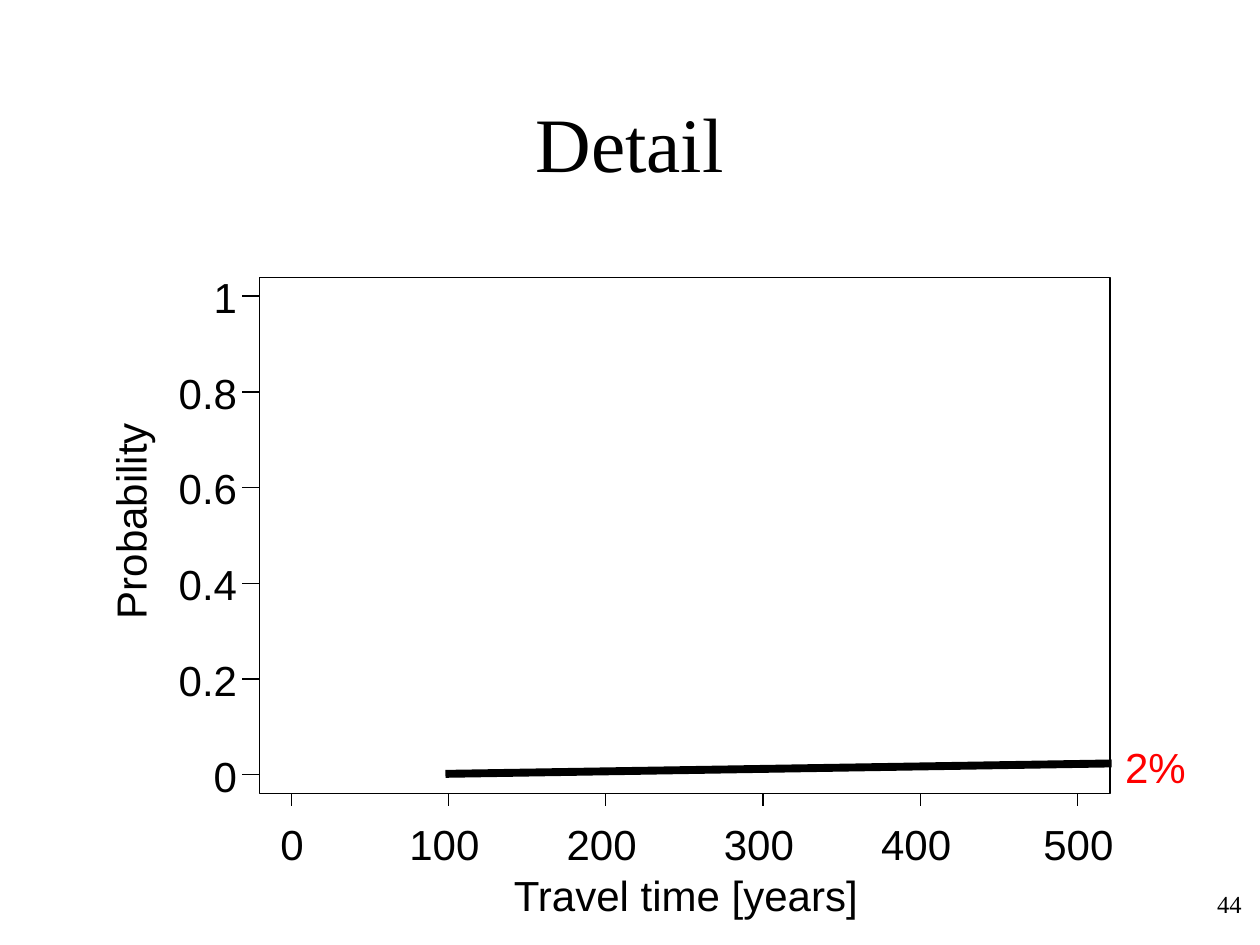
from lxml.etree import SubElement
from pptx import Presentation
from pptx.dml.color import RGBColor
from pptx.enum.shapes import MSO_CONNECTOR as Connector, MSO_SHAPE as Shape
from pptx.enum.text import MSO_ANCHOR as Anchor, MSO_AUTO_SIZE as AutoSize, PP_ALIGN as Align
from pptx.oxml.ns import qn
from pptx.util import Cm, Pt

COLORS = {"ink": "000000", "accent": "FF0000"}
SERIF = {"name": "Times New Roman"}
LABEL_FONT = {"name": "Arial", "size": Pt(24)}
FITTED = {"word_wrap": False, "auto_size": AutoSize.SHAPE_TO_FIT_TEXT}
TIGHT = FITTED | {f"margin_{side}": 0 for side in ("left", "top", "right", "bottom")}
LABEL_HEIGHT = 1.02


def apply_format(target, values):
    for name, value in values.items():
        setattr(target, name, value)


def color(name):
    return RGBColor.from_string(COLORS[name])


def add_text(slide, box, content, font, frame, align=Align.LEFT, ink="ink"):
    label = slide.shapes.add_textbox(*map(Cm, box))
    apply_format(label.text_frame, frame)
    paragraph = label.text_frame.paragraphs[0]
    paragraph.alignment = align
    run = paragraph.add_run()
    run.text = content
    apply_format(run.font, font)
    run.font.color.rgb = color(ink)
    return label


def add_rule(slide, start, end, width=0.75):
    rule = slide.shapes.add_connector(Connector.STRAIGHT, *map(Cm, (*start, *end)))
    rule.line.color.rgb = color("ink")
    rule.line.width = Pt(width)
    SubElement(rule._element.spPr, qn("a:effectLst"))


def add_title(slide, box):
    frame = {"word_wrap": True, "vertical_anchor": Anchor.MIDDLE}
    add_text(slide, box, "Detail", SERIF | {"size": Pt(44)}, frame, Align.CENTER)


def add_page_number(slide, box):
    add_text(slide, box, "44", SERIF | {"size": Pt(14)}, {"word_wrap": True}, Align.RIGHT)


def add_plot_frame(slide, box):
    plot = slide.shapes.add_shape(Shape.RECTANGLE, *map(Cm, box))
    plot.shadow.inherit = False
    plot.fill.background()
    plot.line.color.rgb = color("ink")
    plot.line.width = Pt(0.75)


def add_time_axis(slide, box):
    left, top, width, height = box
    base, first, step = top + height, left + 0.64, 3.17
    add_rule(slide, (first, base), (first + 5 * step, base))
    for index in range(6):
        x = first + index * step
        years = str(100 * index)
        label_width = 0.5 * len(years)
        label_center = x - 0.08 if 0 < index < 5 else x + 0.02
        add_rule(slide, (x, base), (x, base + 0.25))
        add_text(slide, (label_center - label_width / 2, base + 0.51, label_width, LABEL_HEIGHT),
                 years, LABEL_FONT, TIGHT, Align.CENTER)
    add_text(slide, (left + 5.13, base + 1.52, 6.98, LABEL_HEIGHT),
             "Travel time [years]", LABEL_FONT, TIGHT)


def add_probability_axis(slide, box):
    left, top, _, height = box
    zero, step = top + height - 0.38, 1.93
    add_rule(slide, (left, zero), (left, zero - 5 * step))
    for index in range(6):
        y = zero - index * step
        add_rule(slide, (left, y), (left - 0.36, y))
        add_text(slide, (left - 1.69, y - 0.5, 1.24, LABEL_HEIGHT),
                 f"{index / 5:g}", LABEL_FONT, TIGHT, Align.RIGHT)
    title = add_text(slide, (left - 4.59, top + 4.4, 3.96, LABEL_HEIGHT),
                     "Probability", LABEL_FONT, TIGHT)
    title.rotation = 270


def add_probability_curve(slide, box):
    left, top, width, height = box
    base = top + height
    add_rule(slide, (left + 3.75, base - 0.4), (left + width + 0.03, base - 0.61), 4.5)
    add_text(slide, (left + width + 0.05, base - 1.18, 1.73, 1.27),
             "2%", LABEL_FONT, FITTED, ink="accent")


def main():
    presentation = Presentation()
    apply_format(presentation, {"slide_width": Cm(25.4), "slide_height": Cm(19.05)})
    slide = presentation.slides.add_slide(presentation.slide_layouts[6])
    add_title(slide, (1.9, 1.27, 21.6, 3.18))
    plot_box = (5.23, 5.59, 17.15, 10.41)
    for add_part in (add_plot_frame, add_time_axis, add_probability_axis, add_probability_curve):
        add_part(slide, plot_box)
    add_page_number(slide, (20, 17.79, 5.28, 1.27))
    presentation.save("out.pptx")


if __name__ == "__main__":
    main()
